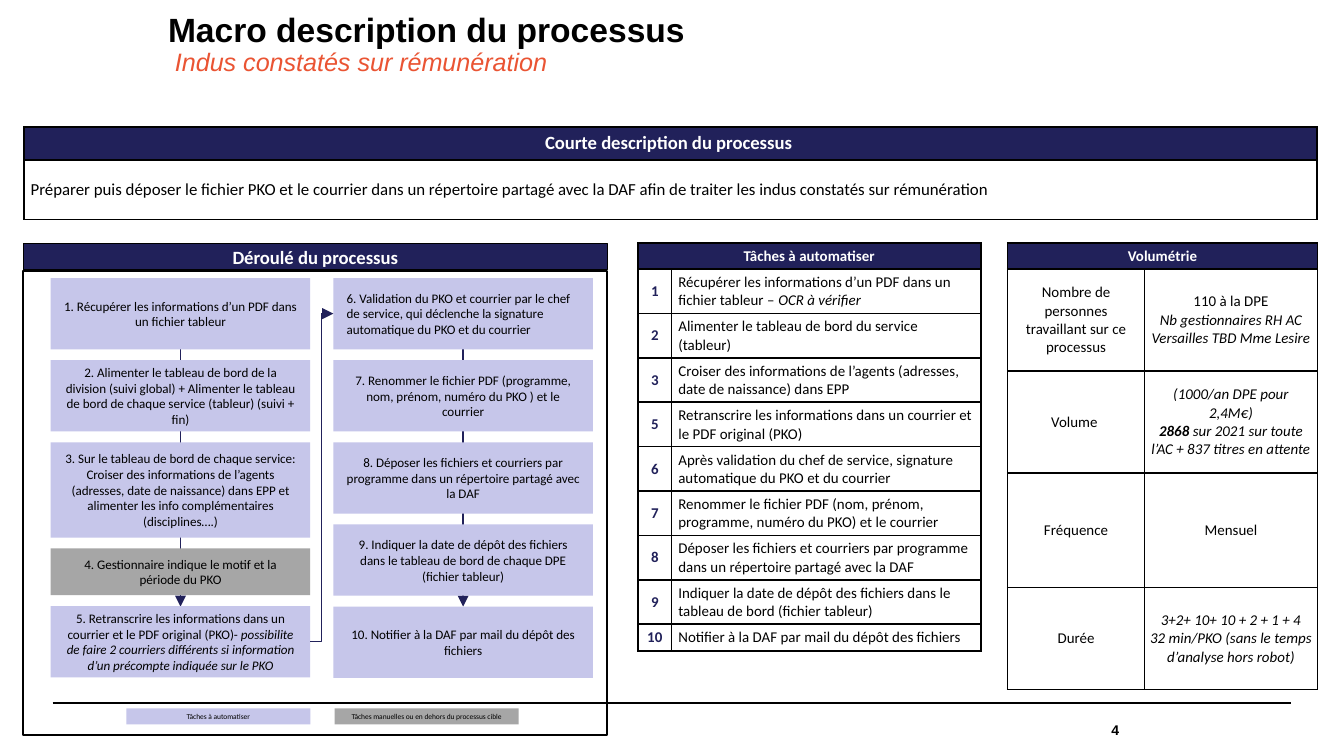
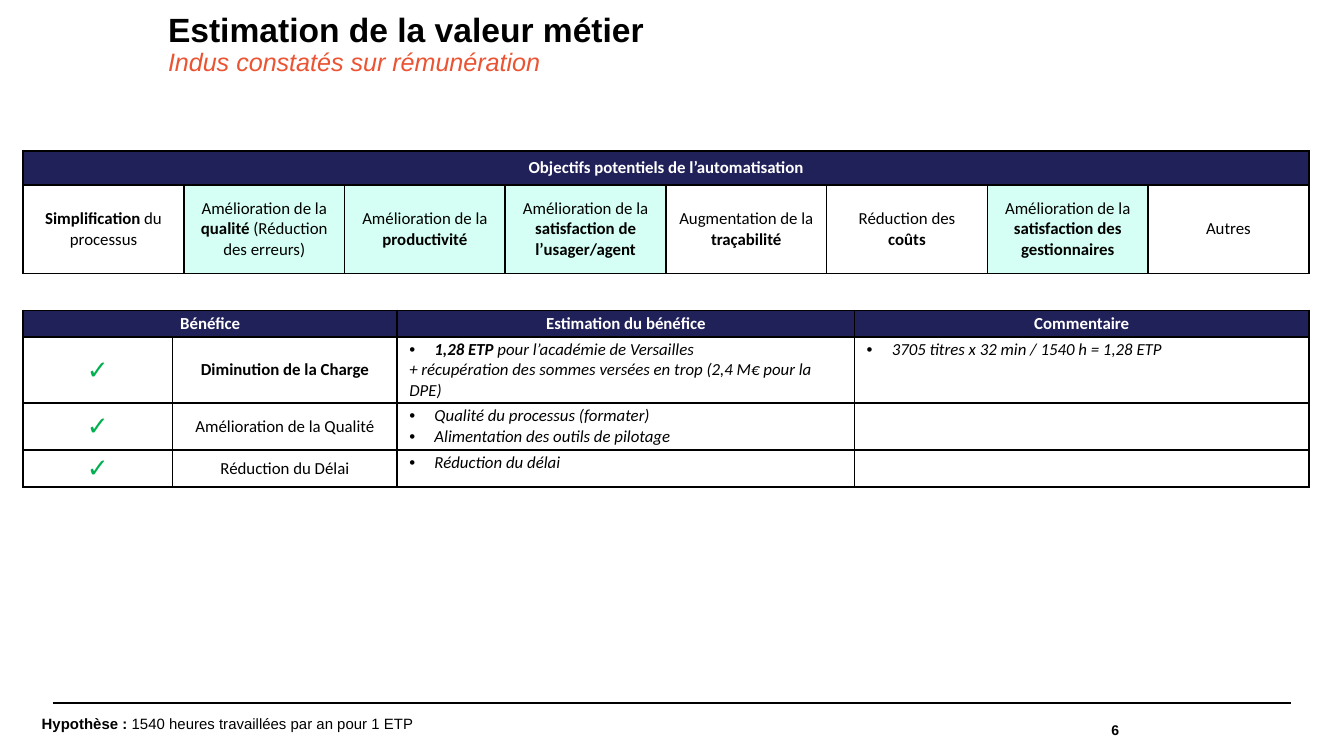
"""Builds two slides on a payroll recovery process: its description and its business value."""
from dataclasses import dataclass

from lxml import etree
from pptx import Presentation
from pptx.dml.color import RGBColor
from pptx.enum.shapes import MSO_CONNECTOR, MSO_SHAPE
from pptx.enum.text import MSO_ANCHOR, MSO_AUTO_SIZE, PP_ALIGN
from pptx.oxml.ns import qn
from pptx.util import Pt

LEFT, CENTER, RIGHT = PP_ALIGN.LEFT, PP_ALIGN.CENTER, PP_ALIGN.RIGHT
TOP, MIDDLE = MSO_ANCHOR.TOP, MSO_ANCHOR.MIDDLE
STRAIGHT, ELBOW = MSO_CONNECTOR.STRAIGHT, MSO_CONNECTOR.ELBOW
RECTANGLE = MSO_SHAPE.RECTANGLE
NO_AUTOFIT = MSO_AUTO_SIZE.NONE


@dataclass(frozen=True)
class Theme:
    navy: str = "21215A"
    lilac: str = "C6C6EA"
    grey: str = "A6A6A6"
    mint: str = "D5FFF4"
    green: str = "00B050"
    orange: str = "EA5433"
    black: str = "000000"
    white: str = "FFFFFF"
    title_font: str = "Arial"
    body_font: str = "Calibri"
    title: float = 18
    subtitle: float = 13.5
    heading: float = 10
    text: float = 9
    small: float = 8
    page: float = 7.5
    step: float = 7
    legend: float = 4
    check: float = 14


theme = Theme()


def write(frame, text, size, color=theme.black, align=CENTER, font=theme.body_font,
          bold=False, italic=False, anchor=MIDDLE, margins=(7.2, 3.6)):
    """Writes lines of text; *stars* mark bold, _underscores_ italic and a leading • a bullet."""
    frame.word_wrap = True
    frame.vertical_anchor = anchor
    frame.margin_left = frame.margin_right = Pt(margins[0])
    frame.margin_top = frame.margin_bottom = Pt(margins[1])
    for number, line in enumerate(text.split("\n")):
        paragraph = frame.add_paragraph() if number else frame.paragraphs[0]
        paragraph.alignment = align
        if line.startswith("•"):
            line = line[1:]
            properties = paragraph._p.get_or_add_pPr()
            properties.set("marL", str(Pt(13.5)))
            properties.set("indent", str(-Pt(13.5)))
            etree.SubElement(properties, qn("a:buFont"), typeface="Arial")
            etree.SubElement(properties, qn("a:buChar"), char="•")
        paragraph.font.name = font
        paragraph.font.size = Pt(size)
        paragraph.font.bold = bold
        paragraph.font.italic = italic
        paragraph.font.color.rgb = RGBColor.from_string(color)
        for bold_index, part in enumerate(line.split("*")):
            for italic_index, piece in enumerate(part.split("_")):
                if piece:
                    run = paragraph.add_run()
                    run.text = piece
                    if bold_index % 2:
                        run.font.bold = True
                    if italic_index % 2:
                        run.font.italic = True


def draw_line(slide, kind, start, end, color, width, arrow=False):
    """Draws a connector between two points, with an arrowhead at its end on request."""
    line = slide.shapes.add_connector(kind, *map(Pt, start + end))
    line.line.color.rgb = RGBColor.from_string(color)
    line.line.width = Pt(width)
    if arrow:
        etree.SubElement(line.line._get_or_add_ln(), qn("a:tailEnd"), type="triangle")
    etree.SubElement(line._element.spPr, qn("a:effectLst"))
    return line


presentation = Presentation()
presentation.slide_width, presentation.slide_height = Pt(720), Pt(405)

slides = []
for title, subtitle, page in [
    ("Macro description du processus", " Indus constatés sur rémunération", "4"),
    ("Estimation de la valeur métier", "Indus constatés sur rémunération", "6"),
]:
    slide = presentation.slides.add_slide(presentation.slide_layouts[5])
    slides.append(slide)
    draw_line(slide, STRAIGHT, (28.2, 376.6), (691.8, 376.6), theme.black, 0.8)
    heading = slide.shapes.title
    heading.left, heading.top, heading.width, heading.height = Pt(90), Pt(7.3), Pt(601), Pt(37.5)
    write(heading.text_frame, "", theme.title, align=LEFT, font=theme.title_font,
          anchor=TOP, margins=(0, 0))
    heading.text_frame.auto_size = NO_AUTOFIT
    paragraph = heading.text_frame.paragraphs[0]
    paragraph.line_spacing = 0.9
    run = paragraph.add_run()
    run.text = title
    run.font.bold = True
    paragraph.add_line_break()
    run = paragraph.add_run()
    run.text = subtitle
    run.font.size = Pt(theme.subtitle)
    run.font.italic = True
    run.font.color.rgb = RGBColor.from_string(theme.orange)
    page_box = slide.shapes.add_textbox(Pt(493), Pt(377), Pt(106.6), Pt(28))
    write(page_box.text_frame, page, theme.page, align=RIGHT, font=theme.title_font,
          bold=True, margins=(0, 0))

process_slide, value_slide = slides

step_width, step_height, step_gap, first_top = 139, 38.2, 5.8, 149
column_lefts = (27.2, 178.6)
last_top = first_top + 4 * (step_height + step_gap)
for left in column_lefts:
    middle = left + step_width / 2
    draw_line(process_slide, STRAIGHT, (middle, first_top + step_height), (middle, last_top),
              theme.navy, 0.75, arrow=True)

step_columns = [
    [
        ("1. Récupérer les informations d’un PDF dans un fichier tableur", step_height),
        ("2. Alimenter le tableau de bord de la division (suivi global) + Alimenter le tableau "
         "de bord de chaque service (tableur) (suivi + fin)", step_height),
        ("3. Sur le tableau de bord de chaque service: Croiser des informations de l’agents "
         "(adresses, date de naissance) dans EPP et alimenter les info complémentaires "
         "(disciplines….)", 51),
        ("4. Gestionnaire indique le motif et la période du PKO", 25.1),
        ("5. Retranscrire les informations dans un courrier et le PDF original (PKO)- _possibilite "
         "de faire 2 courriers différents si information d’un précompte indiquée sur le PKO_",
         step_height),
    ],
    [
        ("6. Validation du PKO et courrier par le chef de service, qui déclenche la signature "
         "automatique du PKO et du courrier", step_height),
        ("7. Renommer le fichier PDF (programme, nom, prénom, numéro du PKO ) et le courrier",
         step_height),
        ("8. Déposer les fichiers et courriers par programme dans un répertoire partagé avec la DAF",
         step_height),
        ("9. Indiquer la date de dépôt des fichiers dans le tableau de bord de chaque DPE "
         "(fichier tableur)", step_height),
        ("10. Notifier à la DAF par mail du dépôt des fichiers", step_height),
    ],
]
boxes = [
    ("Déroulé du processus", 12.4, 130.6, 313, 14, theme.navy, 0.5,
     dict(size=theme.heading, color=theme.white, bold=True, margins=(3.6, 2.2))),
    ("", 12.4, 145.4, 313, 248.4, None, 1, dict(size=theme.step)),
    ("Tâches à automatiser", 67.7, 379.5, 98.6, 8.6, theme.lilac, 0, dict(size=theme.legend)),
    ("Tâches manuelles ou en dehors du processus cible", 179.3, 379.5, 98.6, 8.6, theme.grey, 0,
     dict(size=theme.legend)),
]
for left, steps in zip(column_lefts, step_columns):
    top = first_top
    for text, height in steps:
        fill = theme.grey if text.startswith("4.") else theme.lilac
        align = LEFT if text.startswith("6.") else CENTER
        boxes.append((text, left, top, step_width, height, fill, 0,
                      dict(size=theme.step, align=align)))
        top += height + step_gap

drawn = {}
for text, left, top, width, height, fill, outline, style in boxes:
    shape = process_slide.shapes.add_shape(RECTANGLE, Pt(left), Pt(top), Pt(width), Pt(height))
    shape.shadow.inherit = False
    if fill:
        shape.fill.solid()
        shape.fill.fore_color.rgb = RGBColor.from_string(fill)
    else:
        shape.fill.background()
    if outline:
        shape.line.color.rgb = RGBColor.from_string(theme.black)
        shape.line.width = Pt(outline)
    else:
        shape.line.fill.background()
    write(shape.text_frame, text, **style)
    drawn[text[:2]] = shape

column_link = draw_line(process_slide, ELBOW, (166.2, 344), (178.6, 168), theme.navy, 0.75,
                        arrow=True)
column_link.begin_connect(drawn["5."], 3)
column_link.end_connect(drawn["6."], 1)

volume_style = dict(size=theme.small, margins=(2.9, 1.4))
benefit_style = dict(size=theme.text, italic=True, align=LEFT, anchor=TOP, margins=(6.5, 1.4))
objective_style = dict(size=theme.text, margins=(6.5, 1.4))
tables = [
    dict(slide=process_slide, left=12.8, top=68, widths=[692.8], heights=[17.6, 32],
         headers=[("Courte description du processus ", 1)], header_size=theme.heading,
         styles=[dict(size=theme.text, align=LEFT, margins=(3.6, 2.2))],
         rows=[["Préparer puis déposer le fichier PKO et le courrier dans un répertoire partagé "
                "avec la DAF afin de traiter les indus constatés sur rémunération"]]),
    dict(slide=process_slide, left=341.8, top=130.2, widths=[18, 165.6],
         heights=[14] + [23.8] * 8 + [14.2],
         headers=[("Tâches à automatiser", 2)], header_size=theme.small,
         styles=[dict(size=theme.small, color=theme.navy, bold=True, margins=(1, 2.2)),
                 dict(size=theme.small, align=LEFT, margins=(3.6, 2.2))],
         rows=[
             ["1", "Récupérer les informations d’un PDF dans un fichier tableur – _OCR à vérifier_"],
             ["2", "Alimenter le tableau de bord du service (tableur)"],
             ["3", "Croiser des informations de l’agents (adresses, date de naissance) dans EPP"],
             ["5", "Retranscrire les informations dans un courrier et le PDF original (PKO)"],
             ["6", "Après validation du chef de service, signature automatique du PKO et du courrier"],
             ["7", "Renommer le fichier PDF (nom, prénom, programme, numéro du PKO) et le courrier"],
             ["8", "Déposer les fichiers et courriers par programme dans un répertoire partagé "
                   "avec la DAF"],
             ["9", "Indiquer la date de dépôt des fichiers dans le tableau de bord (fichier tableur)"],
             ["10", "Notifier à la DAF par mail du dépôt des fichiers"],
         ]),
    dict(slide=process_slide, left=539.8, top=130.2, widths=[73.4, 92.6],
         heights=[14, 54.7, 54.7, 61.2, 54.7],
         headers=[("Volumétrie", 2)], header_size=theme.small, styles=[volume_style] * 2,
         rows=[
             ["Nombre de personnes travaillant sur ce processus",
              "110 à la DPE\n_Nb gestionnaires RH AC Versailles TBD Mme Lesire_"],
             ["Volume ", "_(1000/an DPE pour 2,4M€)_\n"
                         "*_2868_*_ sur 2021 sur toute l’AC + 837 titres en attente_"],
             ["Fréquence", "Mensuel"],
             ["Durée", "_3+2+ 10+ 10 + 2 + 1 + 4_\n"
                       "_32 min/PKO (sans le temps d’analyse hors robot)_"],
         ]),
    dict(slide=value_slide, left=12.4, top=80.8, widths=[86.1] * 8, heights=[18.2, 47.6],
         headers=[("Objectifs potentiels de l’automatisation", 8)], header_size=theme.text,
         styles=[objective_style] * 8, highlights=(1, 2, 3, 6),
         rows=[["*Simplification* du processus",
                "Amélioration de la *qualité* (Réduction des erreurs)",
                "Amélioration de la *productivité*",
                "Amélioration de la *satisfaction de l’usager/agent*",
                "Augmentation de la* traçabilité*",
                "Réduction des *coûts*",
                "Amélioration de la *satisfaction des gestionnaires*",
                "Autres"]]),
    dict(slide=value_slide, left=12.4, top=166.3, widths=[80, 120.4, 245, 243.4],
         heights=[14.2, 35.6, 25, 20],
         headers=[("Bénéfice", 2), ("Estimation du bénéfice", 1), ("Commentaire", 1)],
         header_size=theme.text,
         styles=[dict(size=theme.check, color=theme.green, margins=(1.4, 1.4)),
                 objective_style, benefit_style, benefit_style],
         rows=[
             ["✓", "*Diminution de la Charge*",
              "•*1,28 ETP *pour l’académie de Versailles\n"
              "+ récupération des sommes versées en trop (2,4 M€ pour la DPE)",
              "•3705 titres x 32 min / 1540 h = 1,28 ETP"],
             ["✓", "Amélioration de la Qualité",
              "•Qualité du processus (formater)\n•Alimentation des outils de pilotage", ""],
             ["✓", "Réduction du Délai", "•Réduction du délai", ""],
         ]),
]
for spec in tables:
    widths, heights = spec["widths"], spec["heights"]
    table = spec["slide"].shapes.add_table(
        len(heights), len(widths), Pt(spec["left"]), Pt(spec["top"]),
        Pt(sum(widths)), Pt(sum(heights))).table
    table.first_row = table.horz_banding = False
    for column, width in zip(table.columns, widths):
        column.width = Pt(width)
    for row, height in zip(table.rows, heights):
        row.height = Pt(height)
    for row_index in range(len(heights)):
        for column_index in range(len(widths)):
            cell = table.cell(row_index, column_index)
            fill = theme.white if row_index else theme.navy
            if row_index and column_index in spec.get("highlights", ()):
                fill = theme.mint
            cell.fill.solid()
            cell.fill.fore_color.rgb = RGBColor.from_string(fill)
            for order, side in enumerate(("a:lnL", "a:lnR", "a:lnT", "a:lnB")):
                border = etree.Element(qn(side), w=str(Pt(1)))
                solid = etree.SubElement(border, qn("a:solidFill"))
                etree.SubElement(solid, qn("a:srgbClr"), val=theme.black)
                cell._tc.get_or_add_tcPr().insert(order, border)
    column_index = 0
    for text, span in spec["headers"]:
        cell = table.cell(0, column_index)
        if span > 1:
            cell.merge(table.cell(0, column_index + span - 1))
        cell.vertical_anchor = MIDDLE
        write(cell.text_frame, text, spec["header_size"], theme.white, bold=True, margins=(2, 1.4))
        column_index += span
    for row_index, texts in enumerate(spec["rows"], start=1):
        for column_index, (text, style) in enumerate(zip(texts, spec["styles"])):
            cell = table.cell(row_index, column_index)
            write(cell.text_frame, text, **style)
            cell.vertical_anchor = style.get("anchor", MIDDLE)
            cell.margin_left = cell.margin_right = Pt(style["margins"][0])
            cell.margin_top = cell.margin_bottom = Pt(style["margins"][1])
    for cell in list(table.iter_cells())[:len(widths)]:
        cell.margin_left = cell.margin_right = Pt(2)
        cell.margin_top = cell.margin_bottom = Pt(1.4)

assumption = value_slide.shapes.add_textbox(Pt(22.3), Pt(384), Pt(326), Pt(7.2))
write(assumption.text_frame, "*Hypothèse : *1540 heures travaillées par an pour 1 ETP", theme.small,
      align=LEFT, font=theme.title_font, margins=(0, 0))

presentation.save("out.pptx")
